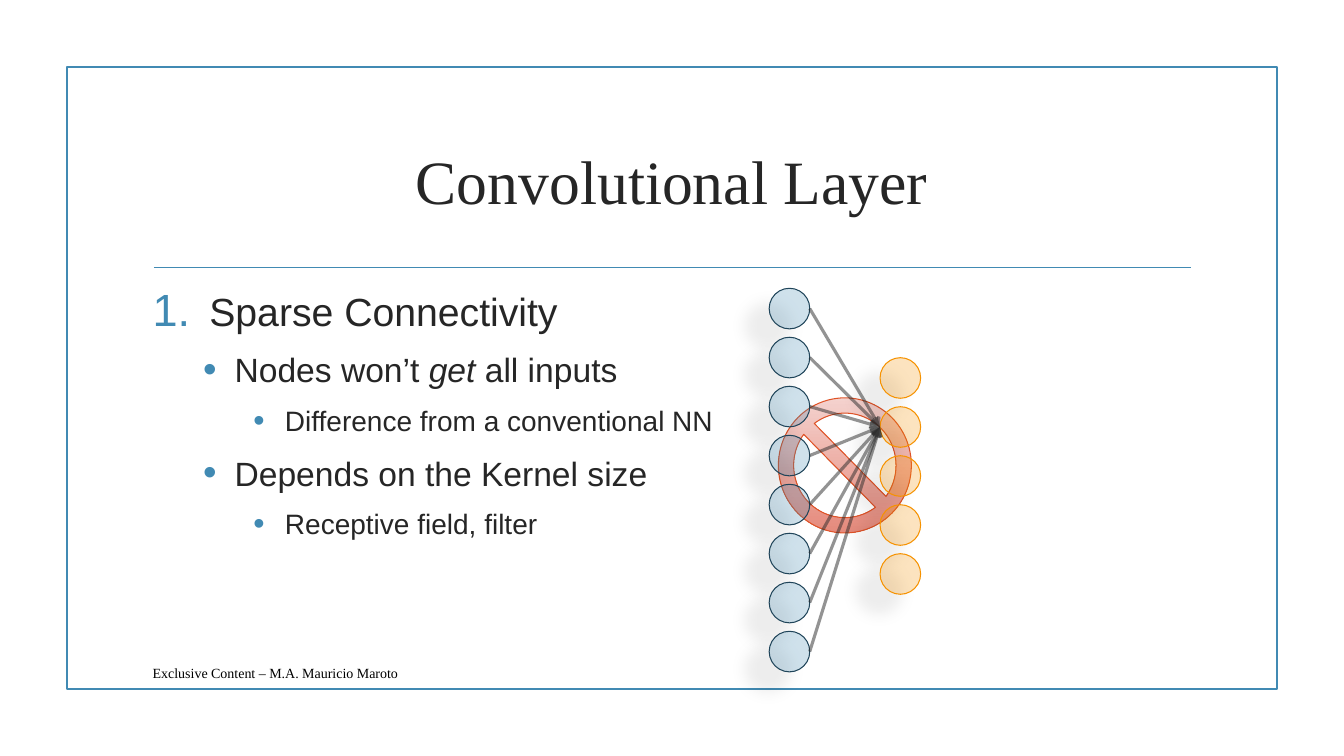
from dataclasses import dataclass

from lxml import etree
from pptx import Presentation
from pptx.dml.color import RGBColor
from pptx.enum.shapes import MSO_CONNECTOR, MSO_SHAPE
from pptx.enum.text import MSO_ANCHOR, PP_ALIGN
from pptx.oxml.ns import qn
from pptx.shapes.autoshape import Shape
from pptx.shapes.connector import Connector
from pptx.slide import Slide
from pptx.text.text import Font, TextFrame
from pptx.util import Pt

RECTANGLE, OVAL, NO_SIGN = MSO_SHAPE.RECTANGLE, MSO_SHAPE.OVAL, MSO_SHAPE.NO_SYMBOL
STRAIGHT = MSO_CONNECTOR.STRAIGHT
TOP, MIDDLE = MSO_ANCHOR.TOP, MSO_ANCHOR.MIDDLE
LEFT, CENTER = PP_ALIGN.LEFT, PP_ALIGN.CENTER


@dataclass(frozen=True)
class Theme:
    accent: str = "418AB3"
    text: str = "262626"
    footer: str = "000000"
    input_line: str = "20455A"
    output: str = "F69200"
    arrow: str = "292929"
    shadow: str = "000000"
    sign_line: str = "DF5327"
    sign_fill: tuple[str, str] = ("F4D2CE", "E58A7C")
    serif: str = "Times New Roman"
    sans: str = "Arial"
    title_size: int = 44
    footer_size: int = 10
    level_sizes: tuple[int, int, int] = (28, 24, 20)


@dataclass(frozen=True)
class Box:
    left: float
    top: float
    width: float
    height: float


@dataclass(frozen=True)
class Bullet:
    level: int
    spans: tuple[str, ...]
    italic_span: int = -1


@dataclass(frozen=True)
class Layer:
    left: float
    top: float
    count: int
    fill: str
    line: str

    def node_top(self, index: int) -> float:
        return self.top + index * NODE_PITCH

    def node_middle(self, index: int) -> float:
        return self.node_top(index) + NODE_SIZE / 2


THEME = Theme()
NODE_SIZE, NODE_PITCH = 29, 35
LEVEL_INDENTS = ((40.5, -40.5), (58.5, -22.5), (94.5, -22.5))
INPUTS = Layer(549.4, 205.9, 8, THEME.accent, THEME.input_line)
OUTPUTS = Layer(628.6, 255.5, 5, THEME.output, THEME.output)
TARGET_OUTPUT = 1
BULLETS = (
    Bullet(0, ("Sparse Connectivity",)),
    Bullet(1, ("Nodes won’t ", "get", " all inputs"), italic_span=1),
    Bullet(2, ("Difference from a conventional NN",)),
    Bullet(1, ("Depends on the Kernel size",)),
    Bullet(2, ("Receptive field, filter",)),
)


def rgb(color: str) -> RGBColor:
    return RGBColor.from_string(color)


def add_child(parent: etree._Element, tag: str, **attributes: object) -> etree._Element:
    values = {name: str(value) for name, value in attributes.items()}
    return etree.SubElement(parent, qn(tag), values)


def set_opacity(properties: etree._Element, percent: int) -> None:
    """Apply opacity to the solid fill directly inside a shape or line element."""
    color = properties.find(qn("a:solidFill")).find(qn("a:srgbClr"))
    add_child(color, "a:alpha", val=percent * 1000)


def style_font(font: Font, name: str, size: int, color: str) -> None:
    font.name, font.size = name, Pt(size)
    font.color.rgb = rgb(color)


def add_outlined(page: Slide, kind: MSO_SHAPE, box: Box, line: str, width: float) -> Shape:
    shape = page.shapes.add_shape(
        kind, Pt(box.left), Pt(box.top), Pt(box.width), Pt(box.height))
    shape.shadow.inherit = False
    shape.fill.background()
    shape.line.color.rgb = rgb(line)
    shape.line.width = Pt(width)
    return shape


def add_line(page: Slide, start: tuple[float, float], end: tuple[float, float],
             color: str, width: float) -> Connector:
    line = page.shapes.add_connector(STRAIGHT, *map(Pt, start + end))
    line.line.color.rgb = rgb(color)
    line.line.width = Pt(width)
    add_child(line._element.spPr, "a:effectLst")
    return line


def add_text_frame(page: Slide, box: Box, anchor: MSO_ANCHOR) -> TextFrame:
    frame = page.shapes.add_textbox(
        Pt(box.left), Pt(box.top), Pt(box.width), Pt(box.height)).text_frame
    frame.word_wrap = True
    frame.vertical_anchor = anchor
    return frame


def add_label(page: Slide, box: Box, text: str, size: int, color: str,
              alignment: PP_ALIGN) -> None:
    para = add_text_frame(page, box, MIDDLE).paragraphs[0]
    para.text, para.alignment = text, alignment
    style_font(para.font, THEME.serif, size, color)


def add_bullets(page: Slide, box: Box, bullets: tuple[Bullet, ...]) -> None:
    frame = add_text_frame(page, box, TOP)
    for index, bullet in enumerate(bullets):
        para = frame.add_paragraph() if index else frame.paragraphs[0]
        para.level, para.space_after = bullet.level, Pt(6)
        properties = para._p.get_or_add_pPr()
        margin, indent = LEVEL_INDENTS[bullet.level]
        properties.set("marL", str(Pt(margin)))
        properties.set("indent", str(Pt(indent)))
        before = add_child(properties, "a:spcBef")
        add_child(before, "a:spcPct", val=20000)
        properties.insert(0, before)
        add_child(add_child(properties, "a:buClr"), "a:srgbClr", val=THEME.accent)
        add_child(properties, "a:buSzPct", val=115000)
        add_child(properties, "a:buFont", typeface=THEME.sans)
        if bullet.level:
            add_child(properties, "a:buChar", char="•")
        else:
            add_child(properties, "a:buAutoNum", type="arabicPeriod")
        style_font(para.font, THEME.sans, THEME.level_sizes[bullet.level], THEME.text)
        for position, text in enumerate(bullet.spans):
            span = para.add_run()
            span.text = text
            if position == bullet.italic_span:
                span.font.italic = True


def add_sign(page: Slide, box: Box) -> None:
    sign = add_outlined(page, NO_SIGN, box, THEME.sign_line, 0.75)
    sign.adjustments[0] = 0.115
    sign.fill.gradient()
    sign.fill.gradient_angle = 270
    for stop, color in zip(sign.fill.gradient_stops, THEME.sign_fill):
        stop.color.rgb = rgb(color)


def add_layer(page: Slide, layer: Layer) -> None:
    for index in range(layer.count):
        box = Box(layer.left, layer.node_top(index), NODE_SIZE, NODE_SIZE)
        node = add_outlined(page, OVAL, box, layer.line, 0.75)
        node.fill.solid()
        node.fill.fore_color.rgb = rgb(layer.fill)
        properties = node._element.spPr
        set_opacity(properties, 25)
        shadow = add_child(properties.find(qn("a:effectLst")), "a:outerShdw",
                           blurRad=Pt(11.8), dist=Pt(19.7), dir=141 * 60000)
        color = add_child(shadow, "a:srgbClr", val=THEME.shadow)
        add_child(color, "a:alpha", val=28000)


def add_connections(page: Slide) -> None:
    """Point every input node at the one target output node."""
    end = (OUTPUTS.left, OUTPUTS.node_middle(TARGET_OUTPUT))
    for index in range(INPUTS.count):
        start = (INPUTS.left + NODE_SIZE, INPUTS.node_middle(index))
        line_properties = add_line(page, start, end, THEME.arrow, 2.25).line._get_or_add_ln()
        set_opacity(line_properties, 50)
        add_child(line_properties, "a:tailEnd", type="arrow")


def main() -> None:
    deck = Presentation()
    deck.slide_width, deck.slide_height = Pt(960), Pt(540)
    page = deck.slides.add_slide(deck.slide_layouts[6])
    add_outlined(page, RECTANGLE, Box(48, 48, 864, 444), THEME.accent, 1.25)
    add_line(page, (110, 191), (850.5, 191), THEME.accent, 1.25)
    add_sign(page, Box(556, 284.2, 95, 96.5))
    add_label(page, Box(102, 77, 756, 103), "Convolutional Layer",
              THEME.title_size, THEME.text, CENTER)
    add_bullets(page, Box(102, 201.6, 756, 261.4), BULLETS)
    add_label(page, Box(102, 470, 575, 22), "Exclusive Content – M.A. Mauricio Maroto",
              THEME.footer_size, THEME.footer, LEFT)
    add_layer(page, INPUTS)
    add_layer(page, OUTPUTS)
    add_connections(page)
    deck.save("out.pptx")


if __name__ == "__main__":
    main()
